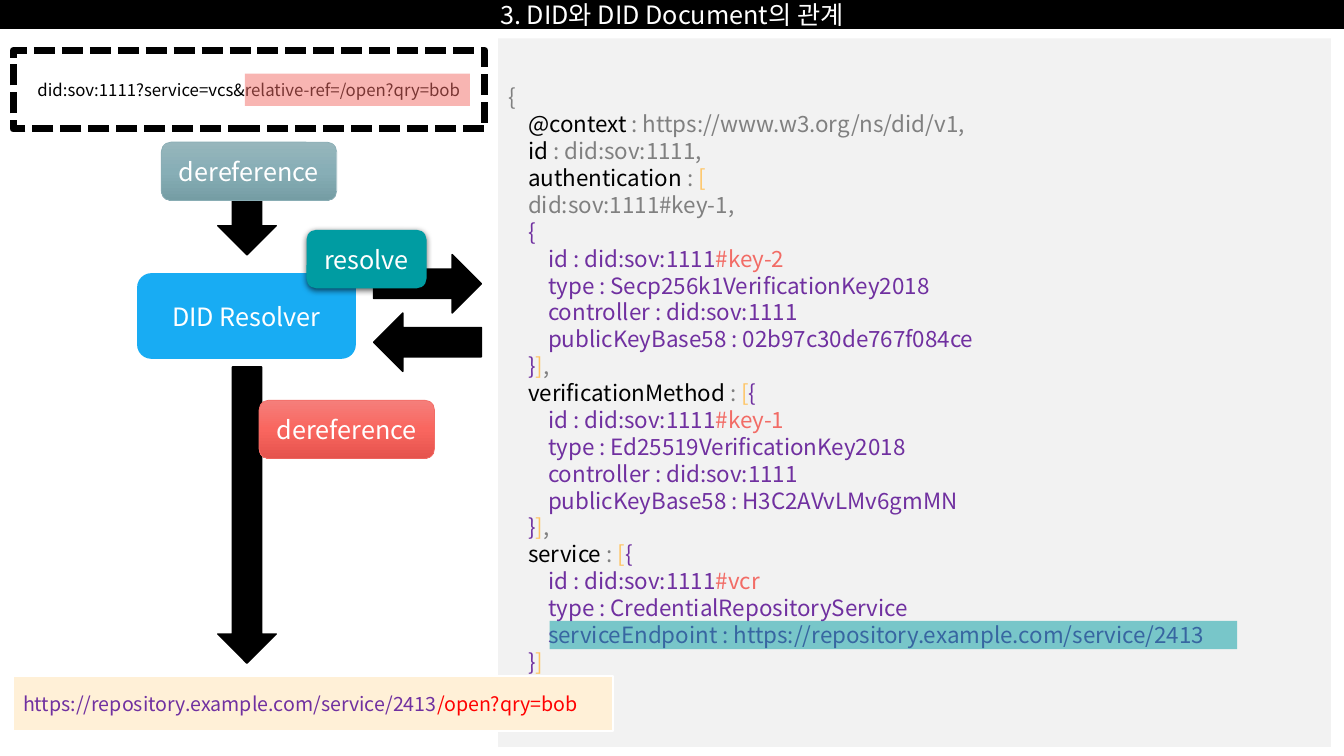
from dataclasses import dataclass

from lxml import etree
from pptx import Presentation
from pptx import util as u
from pptx.dml.color import RGBColor
from pptx.enum import dml, shapes, text
from pptx.oxml.ns import qn

PX = 9144  # EMU per px, 100 px to the inch


@dataclass(frozen=True)
class Theme:
    font: str = "Noto Sans CJK KR"
    black: str = "000000"
    white: str = "FFFFFF"
    panel: str = "F2F2F2"
    grey: str = "808080"
    purple: str = "7030A0"
    amber: str = "FFC462"
    coral: str = "F26C66"
    red: str = "FF0000"
    blue: str = "18ACF3"
    teal: str = "009CA2"
    cream: str = "FFF0D7"
    slate_line: str = "89ADB4"
    slate: tuple = ("97B6BC", "87AEB6", "759DA4")
    salmon: tuple = ("F57F7B", "F9665F", "E5534D")
    label: int = 18
    code: int = 16
    url: int = 14
    did: int = 12
    code_pitch: float = 19.2


T = Theme()
RECT = shapes.MSO_SHAPE.RECTANGLE
ROUND = shapes.MSO_SHAPE.ROUNDED_RECTANGLE
LEFT, CENTER = text.PP_ALIGN.LEFT, text.PP_ALIGN.CENTER


def entry(fragment, *fields):
    """Code lines of one nested object, from its id to its last field."""
    lines = [[("        id : did:sov:1111", T.purple), (fragment, T.coral)]]
    return lines + [[("        " + field, T.purple)] for field in fields]


def member(name, value="", *marks):
    return [("    ", T.grey), (name, T.black), (" : " + value, T.grey), *marks]


OPEN_LIST, OPEN_OBJECT = ("[", T.amber), ("{", T.purple)
CLOSE = [("    }", T.purple), ("]", T.amber)]
CLOSE_COMMA = CLOSE + [(",", T.grey)]

DID_DOCUMENT = [
    [("{", T.grey)],
    member("@context", "https://www.w3.org/ns/did/v1,"),
    member("id", "did:sov:1111,"),
    member("authentication", "", OPEN_LIST),
    [("    did:sov:1111#key-1,", T.grey)],
    [("    {", T.purple)],
    *entry("#key-2", "type : Secp256k1VerificationKey2018", "controller : did:sov:1111",
           "publicKeyBase58 : 02b97c30de767f084ce"),
    CLOSE_COMMA,
    member("verificationMethod", "", OPEN_LIST, OPEN_OBJECT),
    *entry("#key-1", "type : Ed25519VerificationKey2018", "controller : did:sov:1111",
           "publicKeyBase58 : H3C2AVvLMv6gmMN"),
    CLOSE_COMMA,
    member("service", "", OPEN_LIST, OPEN_OBJECT),
    *entry("#vcr", "type : CredentialRepositoryService",
           "serviceEndpoint : https://repository.example.com/service/2413"),
    CLOSE,
    [("}", T.grey)],
]


def rgb(value):
    return RGBColor.from_string(value)


def add_xml(parent, tag, **attrs):
    return etree.SubElement(parent, qn(tag), {k: str(v) for k, v in attrs.items()})


def place(sp, x, y, w, h):
    sp.left, sp.top, sp.width, sp.height = (v * PX for v in (x, y, w, h))


def paint(sp, fill, line=None, width=1.0):
    """Fill with one colour, or with a downward gradient if given a tuple."""
    if isinstance(fill, tuple):
        sp.fill.gradient()
        sp.fill.gradient_angle = 270
        stops = sp._element.spPr.find(qn("a:gradFill")).find(qn("a:gsLst"))
        for stop in list(stops):
            stops.remove(stop)
        for i, colour in enumerate(fill):
            gs = add_xml(stops, "a:gs", pos=i * 50000)
            add_xml(gs, "a:srgbClr", val=colour)
    else:
        sp.fill.solid()
        sp.fill.fore_color.rgb = rgb(fill)
    if line:
        sp.line.color.rgb = rgb(line)
        sp.line.width = u.Pt(width)
    else:
        sp.line.fill.background()


def write(sp, lines, size, align=CENTER, pitch=None):
    """Write lines, each a list of (text, colour) runs."""
    tf = sp.text_frame
    tf.word_wrap = True
    tf.auto_size = text.MSO_AUTO_SIZE.NONE
    tf.vertical_anchor = text.MSO_ANCHOR.MIDDLE
    tf.margin_left = tf.margin_right = 10 * PX
    tf.margin_top = tf.margin_bottom = 0
    for i, runs in enumerate(lines):
        p = tf.paragraphs[0] if i == 0 else tf.add_paragraph()
        p.alignment = align
        p.space_before = u.Pt(0)
        if pitch:
            p.line_spacing = u.Pt(pitch)
        if sp.is_placeholder:
            pPr = p._p.get_or_add_pPr()
            pPr.set("marL", "0")
            pPr.set("indent", "0")
            add_xml(pPr, "a:buNone")
        for words, colour in runs:
            r = p.add_run()
            r.text = words
            r.font.size = u.Pt(size)
            r.font.name = T.font
            r.font.color.rgb = rgb(colour)
            add_xml(r._r.get_or_add_rPr(), "a:ea", typeface=T.font)


def add_block(s, kind, box, fill, line=None, width=1.0):
    sp = s.shapes.add_shape(kind, 0, 0, 0, 0)
    place(sp, *box)
    sp.shadow.inherit = False
    paint(sp, fill, line, width)
    return sp


def add_label(s, box, words, fill, line=None):
    sp = add_block(s, ROUND, box, fill, line, 0.5)
    write(sp, [[(words, T.white)]], T.label)
    return sp


def add_arrow(s, x, y, length, rotation=0):
    box = (x, y, 58, length)
    add_block(s, shapes.MSO_SHAPE.DOWN_ARROW, box, T.black, T.black).rotation = rotation


def add_highlight(s, box, colour):
    """Half-transparent marker over text."""
    sp = add_block(s, RECT, box, colour)
    clr = sp._element.spPr.find(qn("a:solidFill")).find(qn("a:srgbClr"))
    add_xml(clr, "a:alpha", val=50000)


def add_shadow(sp):
    effects = sp._element.spPr.find(qn("a:effectLst"))
    shadow = add_xml(effects, "a:outerShdw", blurRad=u.Pt(4.5), dist=u.Pt(1.5),
                     dir=5400000, algn="ctr", rotWithShape=0)
    add_xml(add_xml(shadow, "a:srgbClr", val=T.black), "a:alpha", val=63000)


def main():
    prs = Presentation()
    prs.slide_width, prs.slide_height = 1333 * PX, 750 * PX
    s = prs.slides.add_slide(prs.slide_layouts[1])

    title, document = s.placeholders
    place(title, 0, 0, 1333, 28)
    paint(title, T.black, T.black)
    write(title, [[("3. DID와 DID Document의 관계", T.white)]], T.label)
    place(document, 494, 38, 826, 703)
    paint(document, T.panel)
    write(document, DID_DOCUMENT, T.code, LEFT, T.code_pitch)

    add_label(s, (136, 271, 217, 85), "DID Resolver", T.blue)
    add_arrow(s, 216, 146, 107)
    add_arrow(s, 395, 228, 107, 270)
    add_arrow(s, 395, 286, 107, 90)
    add_label(s, (160, 141, 174, 58), "dereference", T.slate, T.slate_line)
    add_shadow(add_label(s, (304, 228, 119, 58), "resolve", T.teal))
    add_highlight(s, (545, 616, 682, 28), T.teal)
    add_arrow(s, 216, 364, 294)

    url = add_block(s, RECT, (13, 671, 595, 54), T.cream, T.white, 1.5)
    write(url, [[("https://repository.example.com/service/2413", T.purple),
                 ("/open?qry=bob", T.red)]], T.url, LEFT)
    add_label(s, (257, 397, 174, 58), "dereference", T.salmon, T.coral)

    did = add_block(s, RECT, (13, 50, 468, 78), T.white, T.black, 5)
    did.line.dash_style = dml.MSO_LINE.SQUARE_DOT
    write(did, [[("did:sov:1111?service=vcs&relative-ref=/open?qry=bob", T.black)]], T.did)
    add_highlight(s, (243, 73, 223, 32), T.coral)

    prs.save("out.pptx")


if __name__ == "__main__":
    main()
